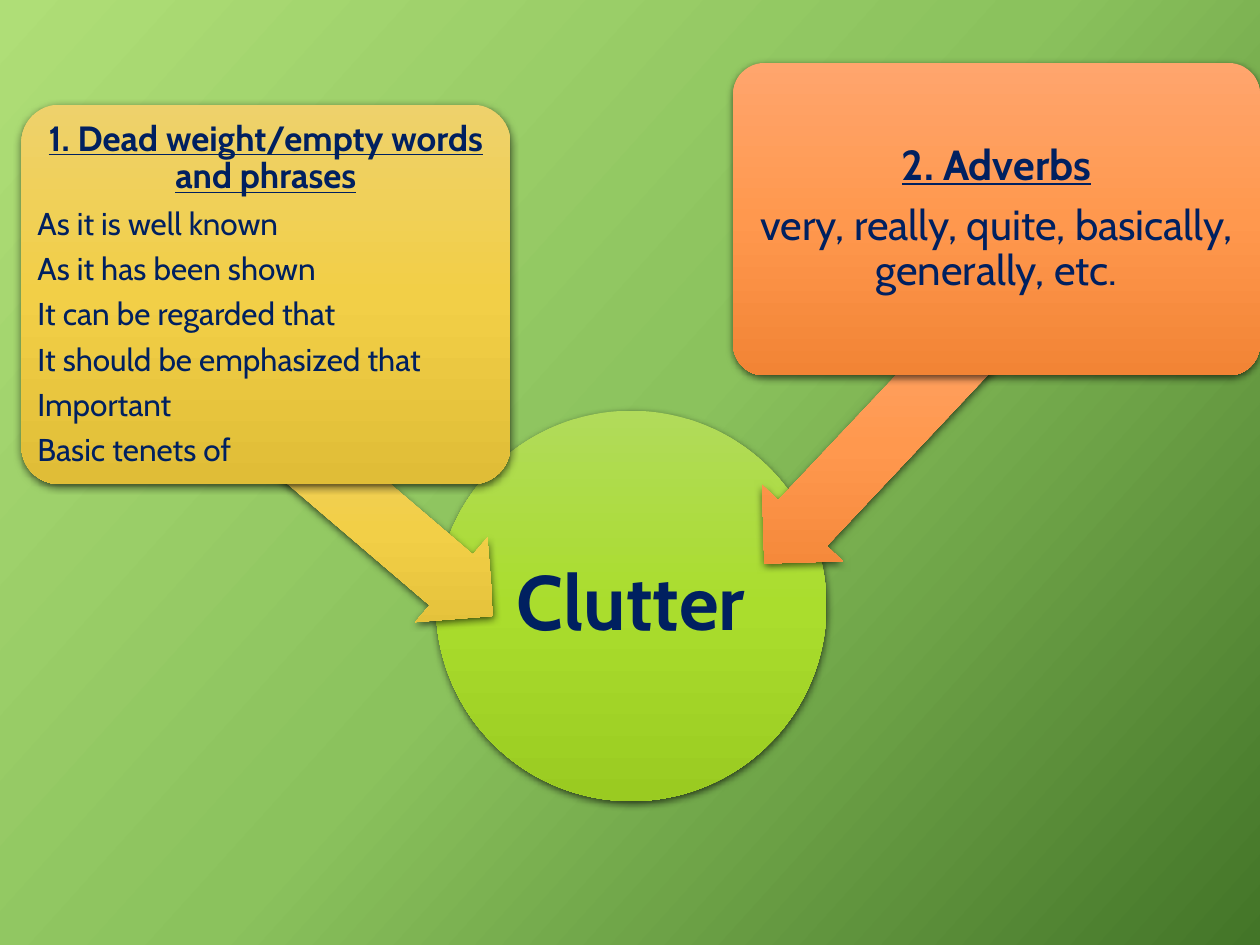
from lxml import etree
from pptx import Presentation
from pptx.dml.color import RGBColor
from pptx.enum.shapes import MSO_SHAPE
from pptx.enum.text import MSO_ANCHOR, PP_ALIGN
from pptx.oxml.ns import qn
from pptx.util import Cm, Pt

OVAL, CARD, ARROW = MSO_SHAPE.OVAL, MSO_SHAPE.ROUNDED_RECTANGLE, MSO_SHAPE.LEFT_ARROW
LEFT, CENTER, MIDDLE = PP_ALIGN.LEFT, PP_ALIGN.CENTER, MSO_ANCHOR.MIDDLE

FONT = "Cabin"
COLORS = {"ink": "002060", "shadow": "000000"}
SHADES = {
    "back": ("AFDE77", "8BC25D", "437528"),
    "green": ("B1DB5B", "AADD2D", "9ACB21"),
    "gold": ("EED16B", "F2CF47", "E0BD37"),
    "orange": ("FFA56D", "FF984E", "F28435"),
}
PHRASES = (
    "As it is well known",
    "As it has been shown",
    "It can be regarded that",
    "It should be emphasized that",
    "Important",
    "Basic tenets of",
)


def add_tag(parent, tag, **attrs):
    return etree.SubElement(parent, qn(tag), {k: str(v) for k, v in attrs.items()})


def blend(fill, root, shade, angle):
    """Give a fill evenly spaced stops, with a clockwise angle."""
    fill.gradient()
    fill.gradient_angle = (360 - angle) % 360
    grad = next(root.iter(qn("a:gradFill")))
    grad.set("rotWithShape", "0")
    stops = grad.find(qn("a:gsLst"))
    for stop in list(stops):
        stops.remove(stop)
    colors = SHADES[shade]
    for i, color in enumerate(colors):
        stop = add_tag(stops, "a:gs", pos=100000 * i // (len(colors) - 1))
        add_tag(stop, "a:srgbClr", val=color)


def write(frame, text, size=18, bold=False, line=False, align=LEFT):
    """Fill the first paragraph if it is empty, else add one."""
    para = frame.paragraphs[0]
    if para.runs:
        para = frame.add_paragraph()
    para.alignment = align
    para.line_spacing = 0.9
    para.space_after = Pt(round(size * 0.35, 1))
    run = para.add_run()
    run.text = text
    font = run.font
    font.name, font.size, font.bold, font.underline = FONT, Pt(size), bold, line
    font.color.rgb = RGBColor.from_string(COLORS["ink"])


class Board:
    """Holds the current slide and the look of its shapes."""

    def __init__(self, slide):
        self.slide = slide
        blend(slide.background.fill, slide.element, "back", 42)

    def shape(self, kind, shade, left, top, width, height):
        item = self.slide.shapes.add_shape(
            kind, Cm(left), Cm(top), Cm(width), Cm(height))
        props = item.element.spPr
        blend(item.fill, props, shade, 90)
        item.line.fill.background()
        item.shadow.inherit = False
        shadow = add_tag(props.find(qn("a:effectLst")), "a:outerShdw",
                         blurRad=Pt(4.5), dist=Pt(1.5), dir=90 * 60000,
                         rotWithShape=0)
        color = add_tag(shadow, "a:srgbClr", val=COLORS["shadow"])
        add_tag(color, "a:alpha", val=63000)
        return item

    def panel(self, kind, shade, *place, inset):
        """Add a shape that holds text and return its text frame."""
        item = self.shape(kind, shade, *place)
        if kind == CARD:
            item.adjustments[0] = 0.1
        frame = item.text_frame
        frame.word_wrap = True
        frame.vertical_anchor = MIDDLE
        frame.margin_left = frame.margin_right = Cm(inset)
        frame.margin_top = frame.margin_bottom = Cm(inset)
        return frame

    def arrow(self, shade, *place, turn):
        item = self.shape(ARROW, shade, *place)
        item.adjustments[0] = 0.6
        item.adjustments[1] = 0.5
        item.rotation = turn


def main():
    deck = Presentation()
    deck.slide_width, deck.slide_height = Cm(25.4), Cm(19.05)
    board = Board(deck.slides.add_slide(deck.slide_layouts[6]))

    hub = board.panel(OVAL, "green", 8.79, 8.28, 7.87, 7.87, inset=0.08)
    write(hub, "Clutter", size=44, bold=True, align=CENTER)

    board.arrow("gold", 5.16, 9.53, 5.44, 2.24, turn=220.5)
    words = board.panel(CARD, "gold", 0.43, 2.11, 9.86, 7.65, inset=0.1)
    write(words, "1. Dead weight/empty words and phrases",
          size=20, bold=True, line=True, align=CENTER)
    for phrase in PHRASES:
        write(words, phrase)

    board.arrow("orange", 14.4, 7.9, 6.43, 2.24, turn=313.3)
    adverbs = board.panel(CARD, "orange", 14.78, 1.27, 10.62, 6.3, inset=0.13)
    write(adverbs, "2. Adverbs", size=24, bold=True, line=True, align=CENTER)
    write(adverbs, "very, really, quite, basically, generally, etc.",
          size=24, align=CENTER)

    deck.save("out.pptx")


if __name__ == "__main__":
    main()
